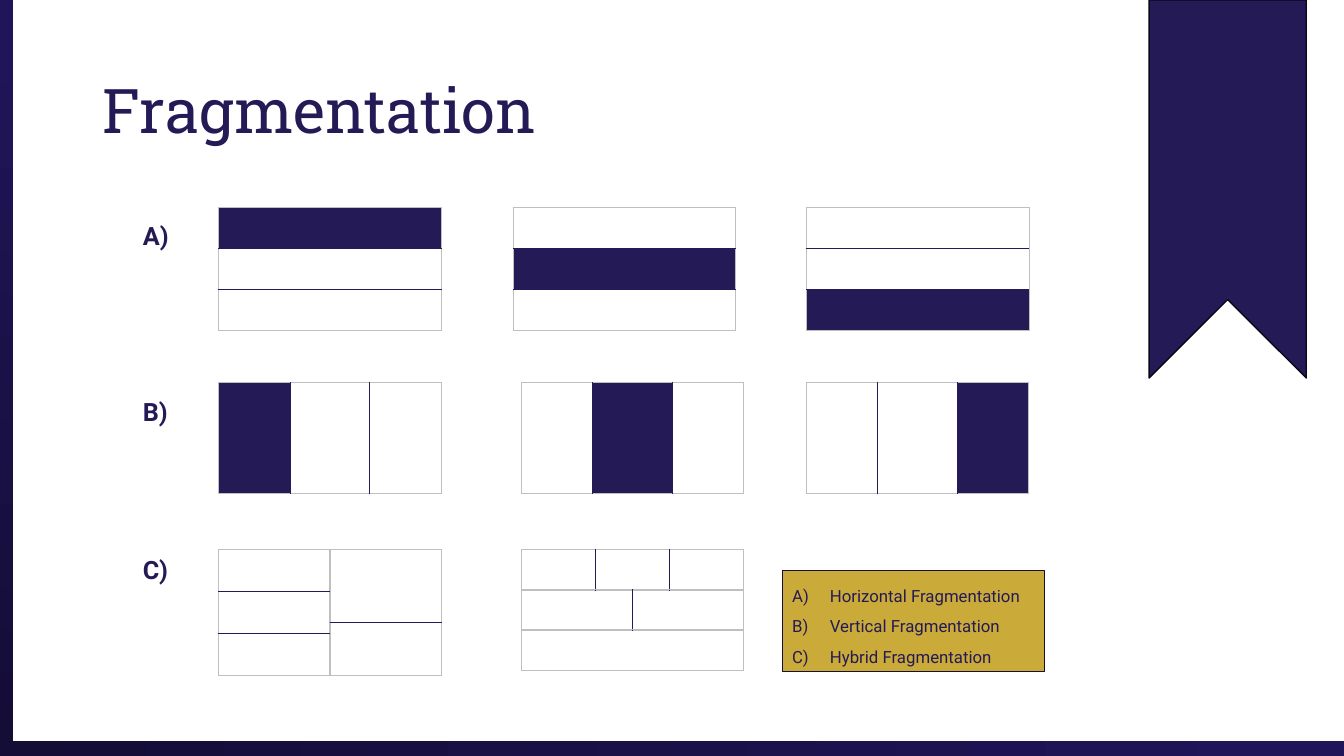
from dataclasses import dataclass

from lxml import etree
from pptx import Presentation
from pptx.dml.color import RGBColor
from pptx.enum.shapes import MSO_SHAPE
from pptx.enum.text import MSO_ANCHOR, MSO_AUTO_SIZE, PP_ALIGN
from pptx.oxml.ns import qn
from pptx.util import Pt

RECTANGLE = MSO_SHAPE.RECTANGLE
MIDDLE = MSO_ANCHOR.MIDDLE
LEFT = PP_ALIGN.LEFT
NO_AUTOFIT = MSO_AUTO_SIZE.NONE
TITLE_ONLY = 5


@dataclass(frozen=True)
class Theme:
    navy: str = "241A56"
    edge: str = "090716"
    bar_dark: str = "140D36"
    bar_light: str = "21155A"
    gold: str = "CAAB39"
    legend_line: str = "150F33"
    grid: str = "BFBFBF"
    heading_font: str = "Roboto Slab"
    body_font: str = "Roboto"
    title_size: int = 44
    label_size: int = 18
    legend_size: int = 12


THEME = Theme()
SLIDE_WIDTH, SLIDE_HEIGHT = 960, 540
TABLE_WIDTH = 159
BAND_HEIGHT = 29.3
LEFT_X, CENTER_X, RIGHT_X = 156.2, 372.2, 576
HORIZONTAL_TOP, VERTICAL_TOP, HYBRID_TOP = 148.3, 273.4, 392.4


def color(value):
    return RGBColor.from_string(value)


def write(paragraph, text, size, font_name=THEME.body_font, bold=False, line_spacing=1.0):
    paragraph.alignment = LEFT
    paragraph.line_spacing = line_spacing
    run = paragraph.add_run()
    run.text = text
    run.font.color.rgb = color(THEME.navy)
    for name, value in {"name": font_name, "size": Pt(size), "bold": bold}.items():
        setattr(run.font, name, value)


def add_title(slide, text):
    title = slide.shapes.title
    box = {"left": 66.2, "top": 28.8, "width": 657.4, "height": 104.4}
    for name, value in box.items():
        setattr(title, name, Pt(value))
    frame = title.text_frame
    frame.auto_size = NO_AUTOFIT
    frame.vertical_anchor = MIDDLE
    write(frame.paragraphs[0], text, THEME.title_size, THEME.heading_font, line_spacing=0.9)


def add_bar(slide, left, top, width, height, angle):
    bar = slide.shapes.add_shape(RECTANGLE, Pt(left), Pt(top), Pt(width), Pt(height))
    bar.shadow.inherit = False
    bar.line.fill.background()
    bar.fill.gradient()
    bar.fill.gradient_angle = angle
    for stop, value in zip(bar.fill.gradient_stops, (THEME.bar_dark, THEME.bar_light)):
        stop.color.rgb = color(value)


def add_ribbon(slide, left, width, height, notch):
    right = left + width
    builder = slide.shapes.build_freeform(Pt(left), Pt(0))
    corners = [(right, 0), (right, height), (left + width / 2, notch), (left, height)]
    builder.add_line_segments([(Pt(x), Pt(y)) for x, y in corners], close=True)
    ribbon = builder.convert_to_shape()
    ribbon.shadow.inherit = False
    ribbon.fill.solid()
    ribbon.fill.fore_color.rgb = color(THEME.navy)
    ribbon.line.color.rgb = color(THEME.edge)
    ribbon.line.width = Pt(1)


def add_border(cell, side, value):
    properties = cell._tc.get_or_add_tcPr()
    line = etree.SubElement(properties, qn(f"a:{side}"), w=str(Pt(0.75)))
    fill = etree.SubElement(line, qn("a:solidFill"))
    etree.SubElement(fill, qn("a:srgbClr"), val=value)


def add_fragments(slide, left, top, widths, heights, filled=None):
    frame = slide.shapes.add_table(
        len(heights), len(widths), Pt(left), Pt(top), Pt(sum(widths)), Pt(sum(heights))
    )
    table = frame.table
    table.first_row = table.horz_banding = False
    for column, width in zip(table.columns, widths):
        column.width = Pt(width)
    for row, height in zip(table.rows, heights):
        row.height = Pt(height)
    last_row, last_column = len(heights) - 1, len(widths) - 1
    for index, cell in enumerate(table.iter_cells()):
        row, column = divmod(index, len(widths))
        cell.margin_top = cell.margin_bottom = 0
        outer = {
            "lnL": column == 0,
            "lnR": column == last_column,
            "lnT": row == 0,
            "lnB": row == last_row,
        }
        for side, is_outer in outer.items():
            add_border(cell, side, THEME.grid if is_outer else THEME.navy)
        if index == filled:
            cell.fill.solid()
            cell.fill.fore_color.rgb = color(THEME.navy)
        else:
            cell.fill.background()


def add_label(slide, text, top):
    label = slide.shapes.add_textbox(Pt(95), Pt(top), Pt(34), Pt(29))
    label.text_frame.word_wrap = True
    write(label.text_frame.paragraphs[0], text, THEME.label_size, bold=True)


def add_legend(slide, entries):
    legend = slide.shapes.add_shape(RECTANGLE, Pt(558.7), Pt(407.5), Pt(187.2), Pt(72.4))
    legend.shadow.inherit = False
    legend.fill.solid()
    legend.fill.fore_color.rgb = color(THEME.gold)
    legend.line.color.rgb = color(THEME.legend_line)
    legend.line.width = Pt(0.75)
    frame = legend.text_frame
    frame.word_wrap = True
    frame.vertical_anchor = MIDDLE
    for index, entry in enumerate(entries):
        paragraph = frame.add_paragraph() if index else frame.paragraphs[0]
        write(paragraph, entry, THEME.legend_size, line_spacing=1.5)
        properties = paragraph._p.get_or_add_pPr()
        properties.set("marL", str(Pt(27)))
        properties.set("indent", str(Pt(-27)))
        etree.SubElement(properties, qn("a:buFont"), typeface=THEME.body_font)
        etree.SubElement(properties, qn("a:buAutoNum"), type="alphaUcParenR")


def main():
    presentation = Presentation()
    presentation.slide_width = Pt(SLIDE_WIDTH)
    presentation.slide_height = Pt(SLIDE_HEIGHT)
    slide = presentation.slides.add_slide(presentation.slide_layouts[TITLE_ONLY])

    add_ribbon(slide, left=820.8, width=112.3, height=270, notch=214)
    add_bar(slide, 0, 529.2, SLIDE_WIDTH, 10.8, angle=0)
    add_bar(slide, 0, 0, 9.2, SLIDE_HEIGHT, angle=90)
    add_title(slide, "Fragmentation")

    for filled, left in enumerate((LEFT_X, 366.4, RIGHT_X)):
        add_fragments(slide, left, HORIZONTAL_TOP, [TABLE_WIDTH], [BAND_HEIGHT] * 3, filled)
    for filled, left in enumerate((LEFT_X, CENTER_X, RIGHT_X)):
        add_fragments(slide, left, VERTICAL_TOP, [51, 57, 51], [79.2], filled)

    half = TABLE_WIDTH / 2
    add_fragments(slide, LEFT_X, HYBRID_TOP, [half], [30] * 3)
    add_fragments(slide, LEFT_X + half, HYBRID_TOP, [half], [52, 38])
    for band, parts in enumerate((3, 2, 1)):
        top = HYBRID_TOP + band * 28.5
        add_fragments(slide, CENTER_X, top, [TABLE_WIDTH / parts] * parts, [BAND_HEIGHT])

    for text, top in (("A)", 154.1), ("B)", 279.4), ("C)", 392.4)):
        add_label(slide, text, top)
    add_legend(
        slide,
        ["Horizontal Fragmentation", "Vertical Fragmentation", "Hybrid Fragmentation"],
    )
    presentation.save("out.pptx")


if __name__ == "__main__":
    main()
